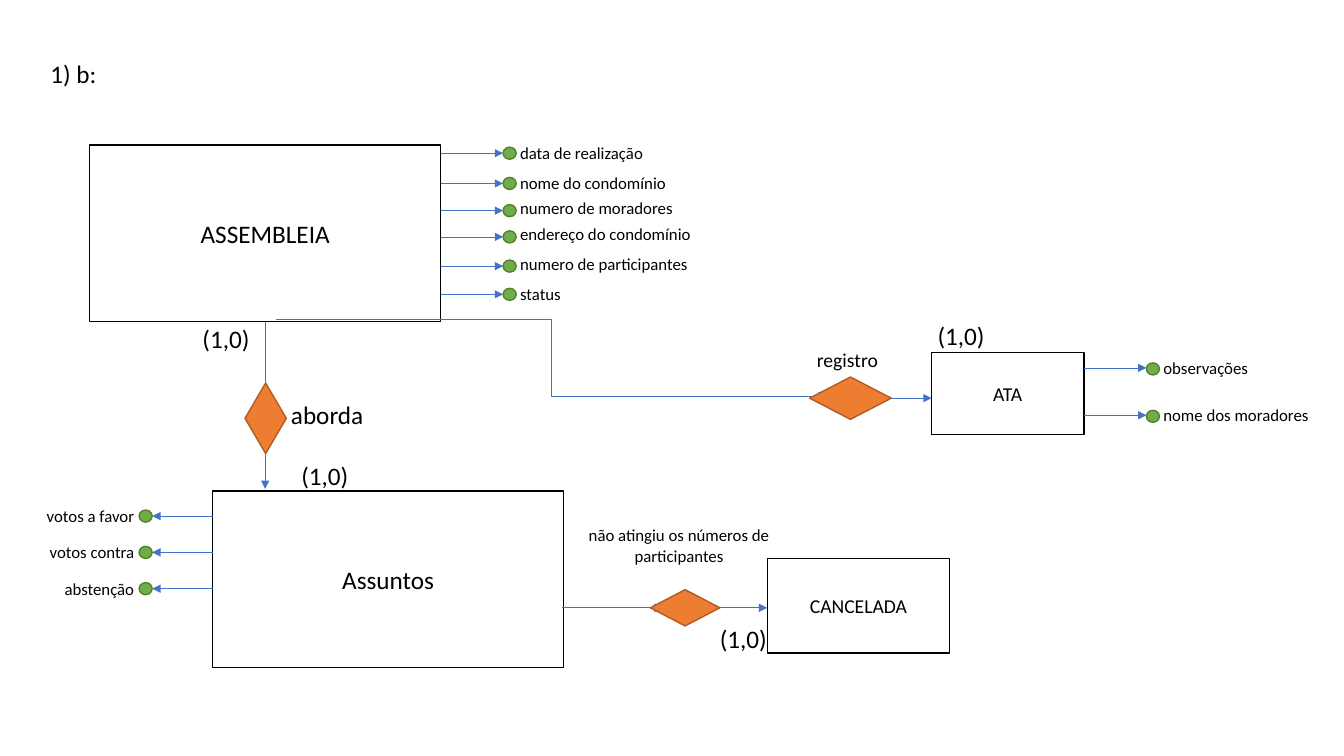
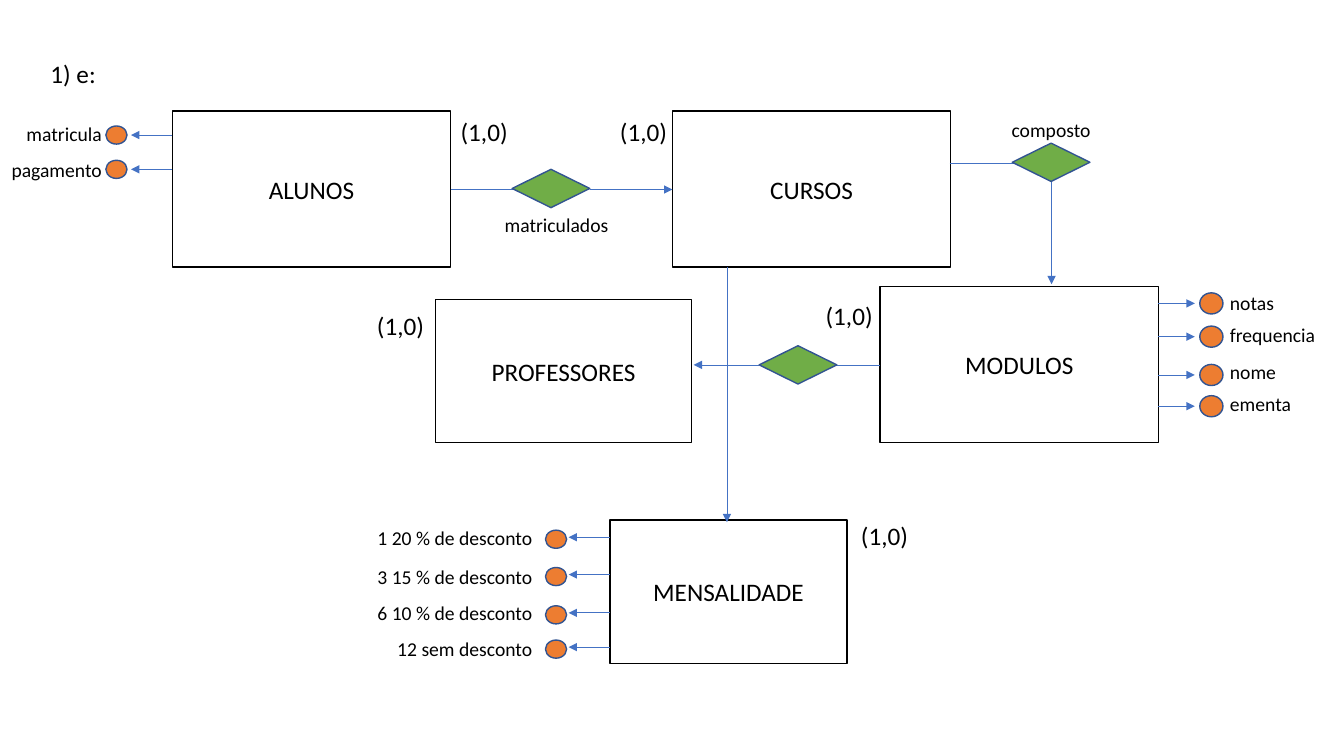
import pptx
import pptx.util
import pptx.dml.color
import pptx.enum.shapes
import pptx.enum.text
from lxml import etree

# Content: positions are in cells of a one-inch grid, as left, top, width, height
FONT = "Calibri"
COLORS = {"text": "000000", "paper": "FFFFFF", "link": "4472C4",
          "green": "70AD47", "dark_green": "538035",
          "orange": "ED7D31", "dark_orange": "AF5C24", "dark_blue": "325491"}
SLIDE_SIZE = (13.33, 7.5)
TITLE_SPOT = (0.4, 0.53, 0.67)
CARDINALITY, CARDINALITY_WIDTH = "(1,0)", 0.68

ASSEMBLY = {
    "title": "1) b:",
    "diamond_style": ("orange", "dark_orange"),
    "dot_style": ("green", "dark_green"),
    "label_size": 12,
    # name: (box, text size)
    "entities": {
        "ASSEMBLEIA": ((0.89, 1.44, 3.48, 1.75), 18),
        "Assuntos": ((2.11, 4.87, 3.48, 1.75), 18),
        "CANCELADA": ((7.61, 5.54, 1.81, 0.94), 14),
        "ATA": ((9.24, 3.5, 1.51, 0.81), 14),
    },
    "links": [(2.63, 3.19, 2.63, 3.95), (2.63, 4.49, 2.63, 4.85),
              (5.57, 6.03, 6.57, 6.03), (7.14, 6.03, 7.61, 6.03),
              (8.72, 3.95, 9.24, 3.95), (2.74, 3.17, 8.2, 3.93)],
    "diamonds": [(2.43, 3.8, 0.41, 0.7), (6.45, 5.85, 0.69, 0.36),
                 (8.03, 3.74, 0.81, 0.42)],
    # rows: label, arrow height, label top, label width
    "attributes": [
        {"entity": "ASSEMBLEIA", "side": "right", "reach": 0.62, "gap": 0,
         "dot": (0.13, 0.12), "label_shift": 0.07, "drop": 0, "rows": [
             ("data de realização", 1.52, 1.37, 1.43),
             ("nome do condomínio", 1.82, 1.66, 1.67),
             ("numero de moradores", 2.09, 1.91, 1.73),
             ("endereço do condomínio", 2.35, 2.17, 1.91),
             ("numero de participantes", 2.64, 2.47, 1.88),
             ("status", 2.92, 2.77, 0.61)]},
        {"entity": "Assuntos", "side": "left", "reach": 0.6, "gap": 0,
         "dot": (0.13, 0.12), "label_shift": 0.05, "drop": 0, "rows": [
             ("votos a favor", 5.12, 4.97, 1.08),
             ("votos contra", 5.48, 5.33, 1.05),
             ("abstenção", 5.84, 5.69, 0.9)]},
        {"entity": "ATA", "side": "right", "reach": 0.62, "gap": 0,
         "dot": (0.13, 0.12), "label_shift": 0.07, "drop": 0.01, "rows": [
             ("observações", 3.65, 3.5, 1.05),
             ("nome dos moradores", 4.12, 3.97, 1.66)]},
    ],
    # text, left, top, width, size
    "captions": [("aborda", 2.78, 3.91, 0.93, 18),
                 ("registro", 8, 3.4, 0.81, 14),
                 ("não atingiu os números de\nparticipantes", 5.73, 5.16, 2.01, 12)],
    "cardinalities": [(1.91, 3.16), (2.89, 4.52), (9.2, 3.13), (7.04, 6.13)],
}

SCHOOL = {
    "title": "1) e:",
    "diamond_style": ("green", "dark_blue"),
    "dot_style": ("orange", "dark_blue"),
    "label_size": 14,
    "entities": {
        "ALUNOS": ((1.71, 1.1, 2.76, 1.55), 18),
        "CURSOS": ((6.67, 1.1, 2.76, 1.55), 18),
        "MODULOS": ((8.73, 2.84, 2.76, 1.55), 18),
        "PROFESSORES": ((4.32, 2.97, 2.54, 1.42), 18),
        "MENSALIDADE": ((6.05, 5.16, 2.35, 1.42), 18),
    },
    "links": [(4.47, 1.88, 5.54, 1.88), (5.85, 1.88, 6.67, 1.88),
              (9.42, 1.62, 10.24, 1.62), (10.43, 1.81, 10.43, 2.82),
              (8.73, 3.62, 7.73, 3.62), (7.53, 3.62, 6.88, 3.62),
              (7.21, 2.65, 7.21, 5.18)],
    "diamonds": [(5.08, 1.68, 0.77, 0.38), (10.04, 1.42, 0.77, 0.38),
                 (7.53, 3.43, 0.77, 0.38)],
    "attributes": [
        {"entity": "ALUNOS", "side": "left", "reach": 0.41, "gap": 0.04,
         "dot": (0.21, 0.18), "label_shift": 0.06, "drop": 0, "rows": [
             ("matricula", 1.34, 1.16, 0.96),
             ("pagamento", 1.68, 1.52, 1.11)]},
        {"entity": "MODULOS", "side": "right", "reach": 0.36, "gap": 0.05,
         "dot": (0.23, 0.21), "label_shift": 0.2, "drop": 0, "rows": [
             ("notas", 3.01, 2.84, 0.64),
             ("frequencia", 3.34, 3.15, 1.06),
             ("nome", 3.72, 3.52, 0.66),
             ("ementa", 4.03, 3.84, 0.81)]},
        {"entity": "MENSALIDADE", "side": "left", "reach": 0.41, "gap": 0.02,
         "dot": (0.21, 0.18), "label_shift": -0.03, "drop": 0.02, "rows": [
             ("1 20 % de desconto", 5.33, 5.17, 1.76),
             ("3 15 % de desconto", 5.7, 5.55, 1.74),
             ("6 10 % de desconto", 6.08, 5.91, 1.74),
             ("12 sem desconto", 6.42, 6.27, 1.56)]},
    ],
    "captions": [("matriculados", 4.9, 2.06, 1.24, 14),
                 ("composto", 9.93, 1.12, 0.99, 14)],
    "cardinalities": [(4.47, 1.1), (6.05, 1.1), (3.64, 3.03),
                      (8.09, 2.93), (8.44, 5.11)],
}

# Shared helpers
ALIGN = pptx.enum.text.PP_ALIGN
ANCHOR = pptx.enum.text.MSO_ANCHOR
SHAPE = pptx.enum.shapes.MSO_SHAPE
CONNECTOR = pptx.enum.shapes.MSO_CONNECTOR


def grid(*cells):
    return [pptx.util.Inches(cell) for cell in cells]


def color(name):
    return pptx.dml.color.RGBColor.from_string(COLORS[name])


def text_height(size, lines=1):
    return 0.1 + lines * size * 1.22 / 72


def write(shape, text, size, align, anchor=ANCHOR.TOP):
    frame = shape.text_frame
    frame.text = text
    frame.vertical_anchor = anchor
    for paragraph in frame.paragraphs:
        paragraph.alignment = align
        paragraph.font.name = FONT
        paragraph.font.size = pptx.util.Pt(size)
        paragraph.font.color.rgb = color("text")


def fit(shape):
    shape.text_frame.word_wrap = False
    shape.text_frame.auto_size = pptx.enum.text.MSO_AUTO_SIZE.SHAPE_TO_FIT_TEXT


def add_label(slide, text, left, top, width, size, align=ALIGN.LEFT):
    height = text_height(size, text.count("\n") + 1)
    label = slide.shapes.add_textbox(*grid(left, top, width, height))
    write(label, text, size, align)
    fit(label)


def add_figure(slide, kind, box, fill, line):
    figure = slide.shapes.add_shape(kind, *grid(*box))
    figure.shadow.inherit = False
    figure.fill.solid()
    figure.fill.fore_color.rgb = color(fill)
    figure.line.color.rgb = color(line)
    figure.line.width = pptx.util.Pt(1)
    return figure


def add_arrow(slide, x1, y1, x2, y2):
    straight = x1 == x2 or y1 == y2
    kind = CONNECTOR.STRAIGHT if straight else CONNECTOR.ELBOW
    arrow = slide.shapes.add_connector(kind, *grid(x1, y1, x2, y2))
    arrow.line.color.rgb = color("link")
    arrow.line.width = pptx.util.Pt(0.5)
    namespace = pptx.oxml.ns.qn
    etree.SubElement(arrow.line._get_or_add_ln(), namespace("a:tailEnd"), type="triangle")
    etree.SubElement(arrow._element.spPr, namespace("a:effectLst"))


def add_attributes(slide, group, diagram):
    (left, _, width, _), _ = diagram["entities"][group["entity"]]
    dot_width, dot_height = group["dot"]
    on_right = group["side"] == "right"
    direction = 1 if on_right else -1
    edge = left + width if on_right else left
    tip = edge + direction * group["reach"]
    dot_left = tip + direction * group["gap"] - (0 if on_right else dot_width)
    label_edge = dot_left + group["label_shift"]
    for text, y, label_top, label_width in group["rows"]:
        add_arrow(slide, edge, y, tip, y)
        dot_top = y + group["drop"] - dot_height / 2
        add_figure(slide, SHAPE.OVAL, (dot_left, dot_top, dot_width, dot_height),
                   *diagram["dot_style"])
        label_left = label_edge if on_right else label_edge - label_width
        add_label(slide, text, label_left, label_top, label_width,
                  diagram["label_size"], ALIGN.LEFT if on_right else ALIGN.RIGHT)


def build(presentation, diagram):
    slide = presentation.slides.add_slide(presentation.slide_layouts[5])
    # Title
    title = slide.shapes.title
    left, top, width = TITLE_SPOT
    title.left, title.top, title.width, title.height = grid(left, top, width, text_height(18))
    write(title, diagram["title"], 18, ALIGN.LEFT)
    fit(title)
    # Entities and relationships
    for name, (box, size) in diagram["entities"].items():
        entity = add_figure(slide, SHAPE.RECTANGLE, box, "paper", "text")
        write(entity, name, size, ALIGN.CENTER, ANCHOR.MIDDLE)
    for link in diagram["links"]:
        add_arrow(slide, *link)
    for box in diagram["diamonds"]:
        add_figure(slide, SHAPE.DIAMOND, box, *diagram["diamond_style"])
    # Attributes
    for group in diagram["attributes"]:
        add_attributes(slide, group, diagram)
    # Captions and cardinalities
    for caption in diagram["captions"]:
        add_label(slide, *caption, ALIGN.CENTER)
    for left, top in diagram["cardinalities"]:
        add_label(slide, CARDINALITY, left, top, CARDINALITY_WIDTH, 18)


presentation = pptx.Presentation()
presentation.slide_width, presentation.slide_height = grid(*SLIDE_SIZE)
for diagram in (ASSEMBLY, SCHOOL):
    build(presentation, diagram)
presentation.save("out.pptx")
